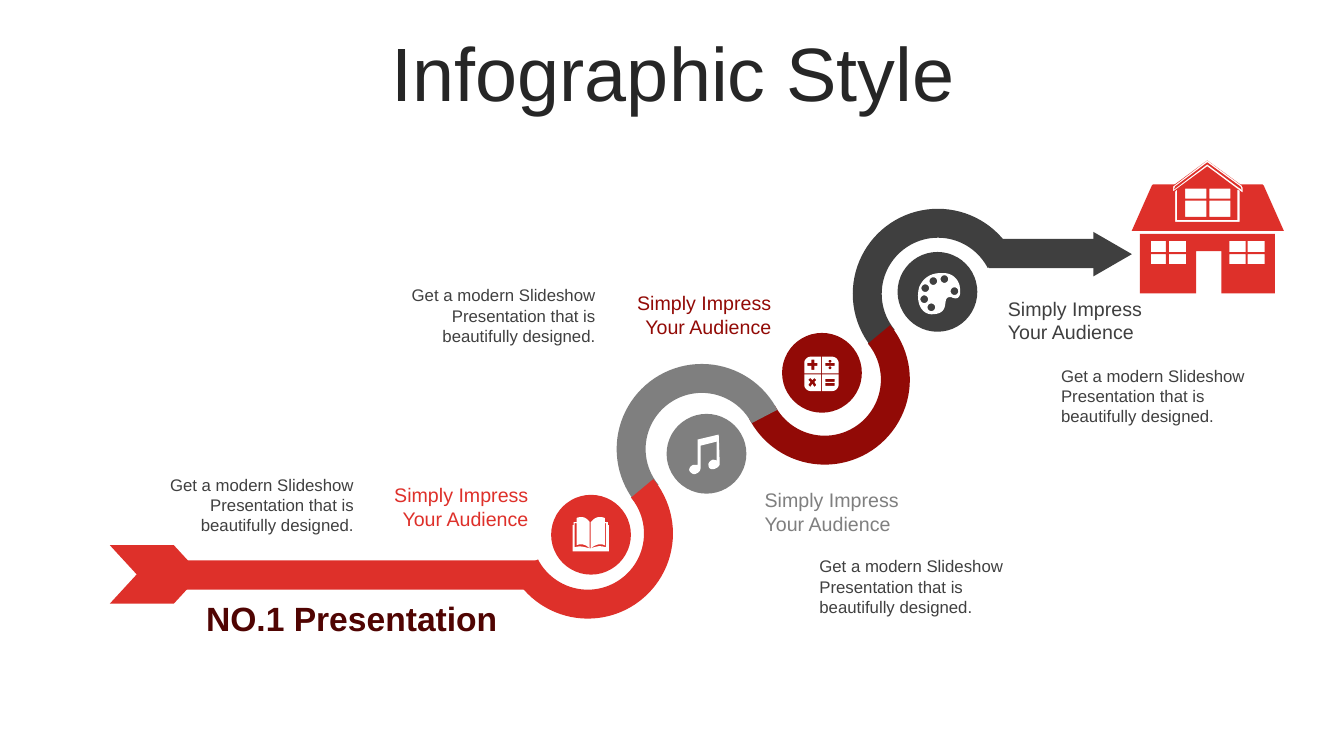
from itertools import product
from math import cos, pi, sin

from pptx import Presentation
from pptx.dml.color import RGBColor
from pptx.enum.shapes import MSO_SHAPE as SHAPE
from pptx.enum.text import MSO_ANCHOR as ANCHOR, MSO_AUTO_SIZE as FIT, PP_ALIGN as ALIGN
from pptx.util import Cm, Pt

COLORS = {
    "red": "DE302A", "gray": "7F7F7F", "maroon": "920A06", "dark": "3F3F3F",
    "white": "FFFFFF", "title": "262626", "body": "404040", "heading": "500402",
}
FONT = "Arial"
GRID = Cm(2.54) / 100
BODY = "Get a modern Slideshow Presentation that is beautifully designed."


def box(x, y, w, h):
    return [(x, y), (x + w, y), (x + w, y + h), (x, y + h)]


def disc(x, y, r, n=24):
    return [(x + r * cos(2 * pi * i / n), y + r * sin(2 * pi * i / n)) for i in range(n)]


def trace(*steps):
    points = []
    for step in steps:
        if len(step) == 2:
            points.append(step)
            continue
        x0, y0 = points[-1]
        x1, y1, x2, y2, x3, y3 = step
        for i in range(1, 13):
            t = i / 12
            a, b, c, d = (1 - t) ** 3, 3 * t * (1 - t) ** 2, 3 * t * t * (1 - t), t ** 3
            points.append((a * x0 + b * x1 + c * x2 + d * x3,
                           a * y0 + b * y1 + c * y2 + d * y3))
    return points


def mirror(points, cx, cy, sx, sy):
    return [(cx + sx * x, cy + sy * y) for x, y in points]


HOLES = [(13, 34), (6, 26), (36, 18), (7, 15), (15, 8), (26, 6)]
PALETTE = [disc(x, y, 3.8) for x, y in HOLES] + [trace(
    (25, 0), (33, 0, 39, 5, 41, 12), (44, 27, 37, 26, 33, 24),
    (21, 22, 35, 41, 13, 41), (0, 40, -2, 24, 1, 14), (4, 7, 10, 0, 23, 0))]

KEY = trace((0.5, 0.5), (17, 0.5), (17, 11), (17, 14, 14, 17, 11, 17), (0.5, 17))
CALCULATOR = [mirror(KEY, 17, 17, sx, sy) for sx, sy in product((-1, 1), repeat=2)]
CALCULATOR += [box(21, y, 9, 3) for y in (6, 22, 26)]
CALCULATOR += [disc(25.5, y, 1.5) for y in (4.5, 11)]
CALCULATOR += [
    [(6, 21), (4, 23), (6, 25), (4, 28), (6, 30), (8, 27),
     (10, 30), (12, 28), (10, 25), (12, 23), (10, 21), (8, 23)],
    [(7, 3), (7, 6), (3, 6), (3, 9), (7, 9), (7, 13),
     (10, 13), (10, 9), (13, 9), (13, 6), (10, 6), (10, 3)],
]

NOTES = [trace(
    (30, 0), (31, 29), (31, 31, 29, 33, 26, 34), (23, 35, 20, 34, 20, 31),
    (19, 29, 21, 26, 24, 25), (25, 25, 27, 25, 28, 26), (28, 7), (12, 11),
    (12, 33), (12, 36, 10, 38, 7, 39), (5, 40, 2, 38, 1, 36),
    (0, 34, 2, 31, 5, 30), (7, 30, 8, 30, 9, 30), (9, 5))]

BOOK = [trace(
    (17, 31), (18, 31), (24, 29, 27, 28, 33, 30), (33, 6), (32, 6), (32, 28),
    (28, 26, 23, 27, 18, 31), (18, 5), (21, 2, 23, 0, 27, 0), (28, 0, 30, 0, 32, 1),
    (32, 5), (35, 5), (35, 8), (36, 8), (36, 34), (0, 34), (0, 8), (1, 8), (1, 5),
    (4, 5), (4, 1), (6, 0, 8, 0, 9, 0), (12, 0, 15, 2, 17, 5), (17, 31),
    (13, 27, 8, 26, 4, 28), (4, 6), (2, 6), (2, 30), (8, 28, 12, 30, 17, 31))]

HOUSE = [box(x, y, w, h) for (x, w), (y, h) in product(
    [(19, 15), (37, 17), (97, 16), (115, 17)], [(80, 11), (93, 10)])]
HOUSE += [box(x, y, 21, h) for x, (y, h) in product((53, 77), [(28, 10), (40, 16)])]
HOUSE += [
    [(8, 73), (142, 73), (142, 132), (89, 132), (89, 90), (64, 90), (64, 132), (8, 132)],
    [(105, 29), (105, 59), (45, 59), (45, 29), (43, 31), (43, 61), (107, 61), (107, 30)],
    [(75, 2), (108, 26), (109, 29), (106, 27), (75, 4), (42, 29), (43, 26)],
    [(75, 0), (41, 26), (41, 31), (75, 6), (110, 32), (110, 27), (109, 25)],
    [(75, 0), (108, 24), (130, 24), (131, 25), (151, 70), (0, 70),
     (20, 25), (21, 24), (42, 24), (44, 23)],
]


class Deck:
    def __init__(self):
        self.prs = Presentation()
        self.prs.slide_width, self.prs.slide_height = Cm(33.87), Cm(19.05)
        self.slide = self.prs.slides.add_slide(self.prs.slide_layouts[6])

    def paint(self, sp, color):
        sp.shadow.inherit = False
        sp.fill.solid()
        sp.fill.fore_color.rgb = RGBColor.from_string(COLORS[color])
        sp.line.fill.background()

    def shape(self, kind, x, y, w, h, color, rotation=0, adjust=()):
        sp = self.slide.shapes.add_shape(kind, Cm(x), Cm(y), Cm(w), Cm(h))
        sp.rotation = rotation
        for i, value in enumerate(adjust):
            sp.adjustments[i] = value
        self.paint(sp, color)

    def icon(self, x, y, contours, color="white"):
        def place(points):
            return [(Cm(x) + px * GRID, Cm(y) + py * GRID) for px, py in points]

        first, *others = [place(c) for c in contours]
        builder = self.slide.shapes.build_freeform(*first[0], scale=1.0)
        builder.add_line_segments(first[1:], close=True)
        for points in others:
            builder.move_to(*points[0])
            builder.add_line_segments(points[1:], close=True)
        self.paint(builder.convert_to_shape(), color)

    def text(self, x, y, w, h, text, size, color, align=ALIGN.LEFT,
             anchor=ANCHOR.TOP, bold=False, spacing=None, fit=FIT.SHAPE_TO_FIT_TEXT):
        tf = self.slide.shapes.add_textbox(Cm(x), Cm(y), Cm(w), Cm(h)).text_frame
        tf.word_wrap, tf.auto_size, tf.vertical_anchor = True, fit, anchor
        tf.text = text
        for p in tf.paragraphs:
            p.alignment, p.line_spacing = align, spacing
            for r in p.runs:
                r.font.name, r.font.size, r.font.bold = FONT, Pt(size), bold
                r.font.color.rgb = RGBColor.from_string(COLORS[color])


def main():
    deck = Deck()
    deck.text(0.89, 0.94, 32.16, 2.01, "Infographic Style", 54, "title",
              ALIGN.CENTER, ANCHOR.MIDDLE, spacing=0.9, fit=FIT.NONE)

    arcs = [(21.49, 5.26, "dark", 180), (18.64, 7.42, "maroon", 0),
            (15.54, 9.17, "gray", 180), (12.67, 11.3, "red", 0)]
    for x, y, color, rotation in arcs:
        deck.shape(SHAPE.BLOCK_ARC, x, y, 4.29, 4.29, color, rotation,
                   (192.18, 91.53, 0.17))
    deck.shape(SHAPE.RECTANGLE, 4.5, 14.12, 9.07, 0.74, "red")
    deck.shape(SHAPE.RECTANGLE, 24.92, 6.02, 2.67, 0.74, "dark")
    deck.shape(SHAPE.ISOSCELES_TRIANGLE, 27.48, 5.92, 1.12, 0.97, "dark", 90)
    deck.shape(SHAPE.CHEVRON, 2.77, 13.74, 2.29, 1.47, "red", adjust=(0.46,))

    for i, color in enumerate(("red", "gray", "maroon", "dark")):
        deck.shape(SHAPE.OVAL, 13.89 + 2.91 * i, 12.47 - 2.04 * i, 2.01, 2.01, color)
    deck.icon(23.14, 6.88, PALETTE)
    deck.icon(20.27, 8.99, CALCULATOR)
    deck.icon(17.35, 10.95, NOTES)
    deck.icon(14.43, 13.03, BOOK)

    deck.text(4.65, 14.94, 8.43, 1.27, "NO.1 Presentation", 24, "heading",
              ALIGN.CENTER, bold=True)
    labels = [(8.97, 12.04, "red", ALIGN.RIGHT), (19.02, 12.17, "gray", ALIGN.LEFT),
              (15.09, 7.21, "maroon", ALIGN.RIGHT), (25.15, 7.34, "dark", ALIGN.LEFT)]
    for x, y, color, align in labels:
        deck.text(x, y, 4.6, 1.45, "Simply Impress\nYour Audience", 14, color,
                  align, ANCHOR.MIDDLE)
    details = [(9.65, 7.06, ALIGN.RIGHT), (3.56, 11.84, ALIGN.RIGHT),
               (26.49, 9.09, ALIGN.LEFT), (20.4, 13.89, ALIGN.LEFT)]
    for x, y, align in details:
        deck.text(x, y, 5.61, 1.8, BODY, 12, "body", align)

    deck.icon(28.52, 4.04, HOUSE, "red")
    deck.prs.save("out.pptx")


if __name__ == "__main__":
    main()
